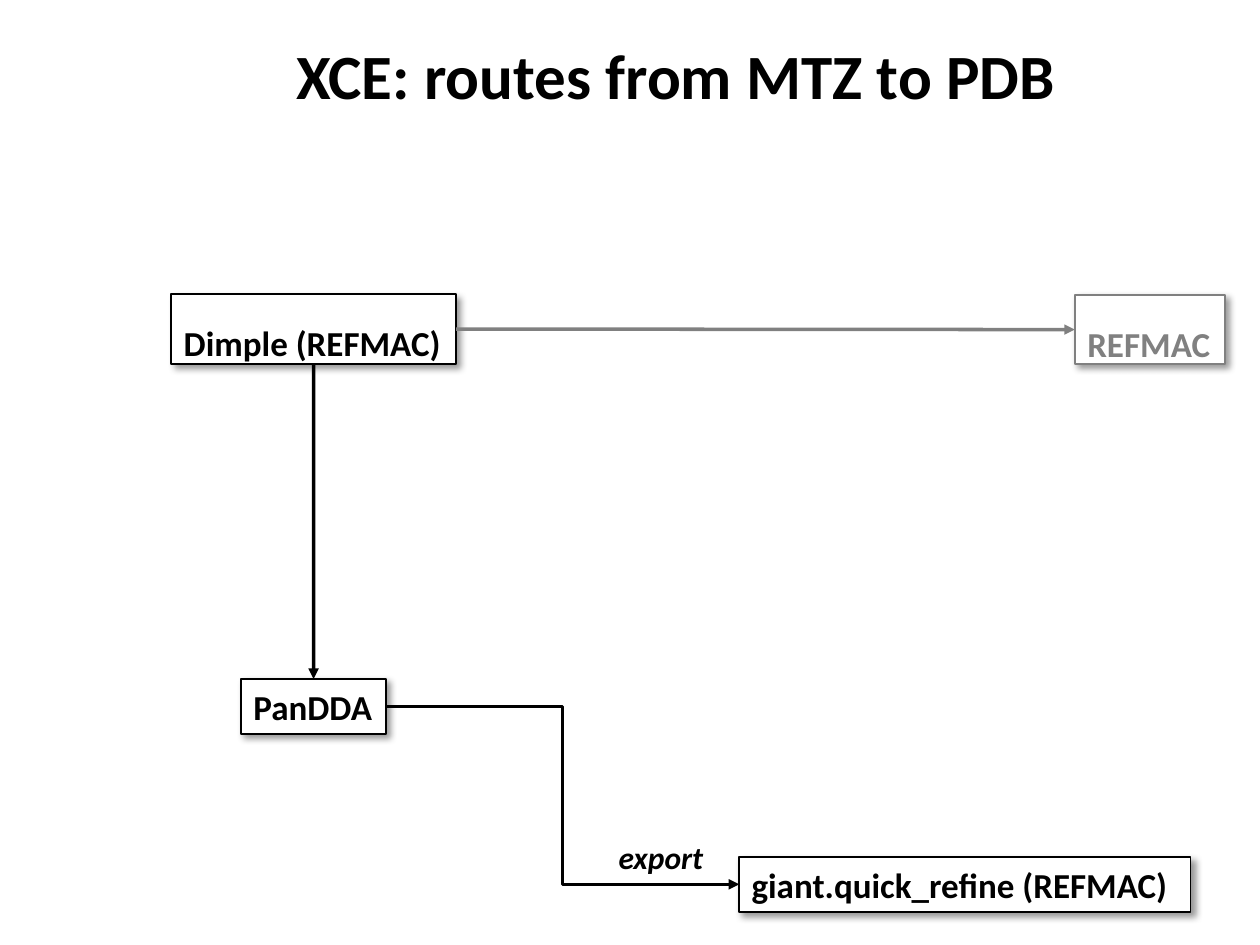
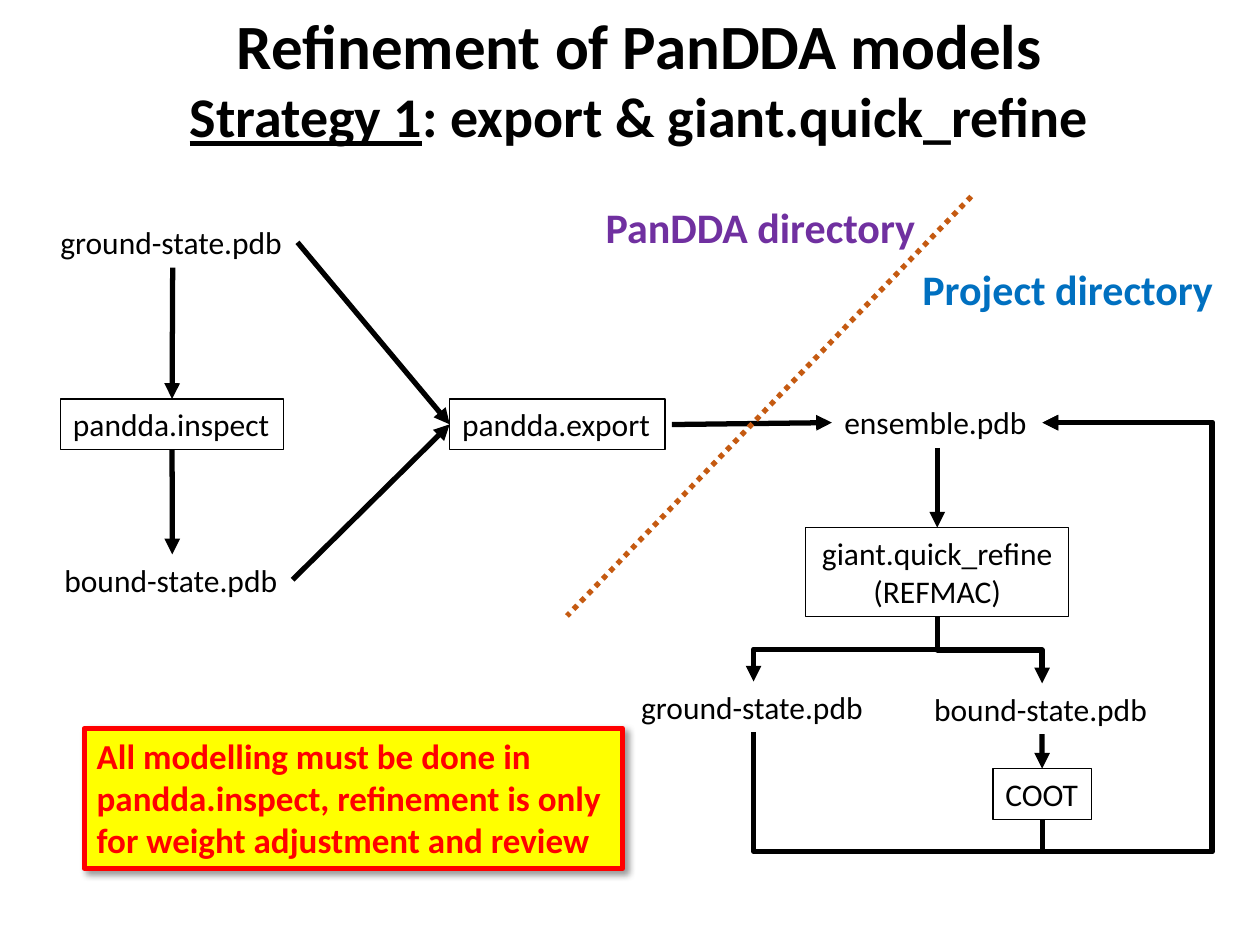
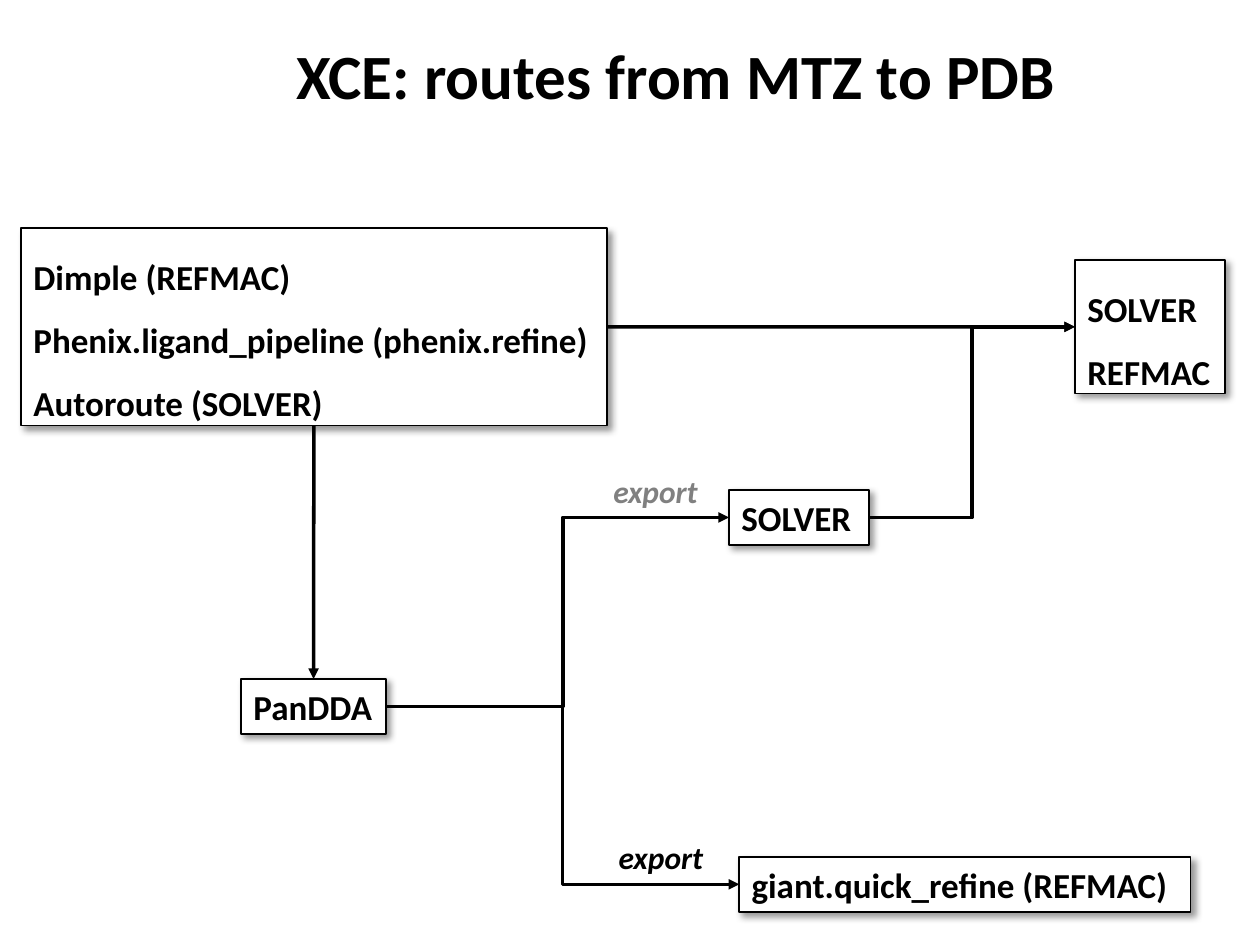
"""Build three slides on the routes from MTZ to PDB and on model refinement."""
from lxml.etree import SubElement
from pptx import Presentation
from pptx.dml.color import RGBColor
from pptx.enum.dml import MSO_LINE
from pptx.enum.shapes import MSO_CONNECTOR, MSO_SHAPE
from pptx.enum.text import MSO_ANCHOR, MSO_AUTO_SIZE, PP_ALIGN
from pptx.oxml.ns import qn
from pptx.util import Pt

FONT = "Calibri"
BLACK, WHITE, GREY = "000000", "FFFFFF", "808080"
RED, YELLOW, ORANGE = "FF0000", "FFFF00", "C55A11"
PURPLE, BLUE = "7030A0", "0070C0"
TOP, LEFT, BOTTOM, RIGHT = range(4)


def paint(hue):
    """Turn a hex string into a colour."""
    return RGBColor.from_string(hue)


def style(para, size, hue=BLACK, bold=False, slant=False):
    """Format every run of a paragraph."""
    for run in para.runs:
        font = run.font
        font.name, font.size = FONT, Pt(size)
        font.bold, font.italic = bold, slant
        font.color.rgb = paint(hue)


def place(shape, at):
    """Move a shape to a left, top, width and height."""
    shape.left, shape.top, shape.width, shape.height = map(Pt, at)


def write(shape, text, size, hue=BLACK, bold=False, slant=False,
          align=PP_ALIGN.LEFT, space=None, wrap=False):
    """Fill a shape with text that starts at its top."""
    frame = shape.text_frame
    frame.text = text
    frame.word_wrap = wrap
    frame.auto_size = MSO_AUTO_SIZE.SHAPE_TO_FIT_TEXT
    frame.vertical_anchor = MSO_ANCHOR.TOP
    for para in frame.paragraphs:
        para.alignment = align
        if space:
            para.line_spacing = space
        style(para, size, hue, bold, slant)


def head(page, text, at, align):
    """Set the slide title and return its text frame."""
    title = page.shapes.title
    place(title, at)
    write(title, text, 36, bold=True, align=align)
    title.text_frame.auto_size = MSO_AUTO_SIZE.NONE
    return title.text_frame


def label(page, text, at, size=18, **look):
    """Add plain text without a frame."""
    shape = page.shapes.add_textbox(*map(Pt, at))
    write(shape, text, size, **look)
    return shape


def box(page, text, at, size=18, edge=BLACK, width=0.75, fill=None, **look):
    """Add a framed rectangle with text."""
    shape = page.shapes.add_shape(MSO_SHAPE.RECTANGLE, *map(Pt, at))
    shape.shadow.inherit = False
    if fill:
        shape.fill.solid()
        shape.fill.fore_color.rgb = paint(fill)
    else:
        shape.fill.background()
    shape.line.color.rgb = paint(edge)
    shape.line.width = Pt(width)
    write(shape, text, size, **look)
    return shape


def card(page, text, at, width=1, fill=WHITE, **look):
    """Add a bold filled box with a soft shadow."""
    shape = box(page, text, at, 20, width=width, fill=fill, bold=True, **look)
    effect = shape.element.spPr.find(qn("a:effectLst"))
    shade = SubElement(effect, qn("a:outerShdw"), blurRad=str(Pt(4)),
                       dist=str(Pt(3)), dir="2700000", rotWithShape="0")
    tone = SubElement(shade, qn("a:srgbClr"), val=BLACK)
    SubElement(tone, qn("a:alpha"), val="40000")
    return shape


def trace(page, ends, hue=BLACK, width=3, kind=MSO_CONNECTOR.STRAIGHT,
          tip=True, dash=None):
    """Draw a connector between two points."""
    line = page.shapes.add_connector(kind, *map(Pt, ends))
    line.line.color.rgb = paint(hue)
    line.line.width = Pt(width)
    if dash:
        line.line.dash_style = dash
    props = line.element.spPr
    if tip:
        SubElement(props.find(qn("a:ln")), qn("a:tailEnd"), type="triangle")
    SubElement(props, qn("a:effectLst"))
    return line


def join(page, start, out, end, into, **look):
    """Link the sides of two shapes."""
    line = trace(page, (0, 0, 9, 9), **look)
    line.begin_connect(start, out)
    line.end_connect(end, into)
    return line


def tune(line, *parts):
    """Set where an elbow turns, as shares of its size."""
    geom = line.element.spPr.find(qn("a:prstGeom"))
    guides = geom.find(qn("a:avLst"))
    for num, part in enumerate(parts, 1):
        SubElement(guides, qn("a:gd"), name=f"adj{num}",
                   fmla=f"val {round(part * 100000)}")
    geom.set("prst", f"bentConnector{len(parts) + 2}")


def elbow(page, start, end, mid=0.5):
    """Link a right side to a left side with one step."""
    line = join(page, start, RIGHT, end, LEFT, width=2,
                kind=MSO_CONNECTOR.ELBOW)
    tune(line, mid)


def turn(line, angle, flips):
    """Rotate an elbow about its centre so that it leaves downwards."""
    wide, high = line.width, line.height
    line.left += (wide - high) // 2
    line.top += (high - wide) // 2
    line.width, line.height = high, wide
    xfrm = line.element.spPr.find(qn("a:xfrm"))
    xfrm.set("rot", str(angle * 60000))
    for axis in "HV":
        xfrm.set("flip" + axis, "1" if axis in flips else "0")


def drop(page, start, end):
    """Link a bottom side to a top side with one step."""
    line = join(page, start, BOTTOM, end, TOP, kind=MSO_CONNECTOR.ELBOW)
    if line.end_x < line.begin_x:
        turn(line, 90, "")
    else:
        turn(line, 270, "H")
    tune(line, 0.5)


def loop(page, start, end, low, far):
    """Link a bottom side back up to a right side, by way of low and far."""
    line = join(page, start, BOTTOM, end, RIGHT, kind=MSO_CONNECTOR.ELBOW)
    left, base = line.begin_x, line.begin_y
    wide, high = line.width, line.height
    turn(line, 90, "HV")
    tune(line, (base - Pt(low)) / high, (Pt(far) - left) / wide)


def route(page):
    """Add what both route slides share and return the PanDDA box."""
    head(page, "XCE: routes from MTZ to PDB", (162, 17.3, 453, 51),
         PP_ALIGN.LEFT)
    model = card(page, "PanDDA", (137.7, 388, 83, 31.5))
    quick = card(page, "giant.quick_refine (REFMAC)", (422.4, 489.6, 258, 31.5),
                 wrap=True)
    elbow(page, model, quick)
    export(page, (346.5, 475.2))
    return model


def export(page, spot, hue=BLACK):
    """Label an export step."""
    label(page, "export", (*spot, 63.5, 29), hue=hue, bold=True, slant=True)


def basic(page):
    """Show the basic route."""
    model = route(page)
    first = card(page, "Dimple (REFMAC)", (97.9, 168.2, 162.7, 39.7), space=1.5)
    last = card(page, "REFMAC", (614.2, 168.5, 85.7, 39.7), edge=GREY,
                hue=GREY, space=1.5)
    join(page, first, RIGHT, last, LEFT, hue=GREY, width=2)
    join(page, first, BOTTOM, model, TOP, width=2)


def refine(page):
    """Show the refinement of models."""
    frame = head(page, "Refinement of PanDDA models\nStrategy 1",
                 (98.6, 0, 533.5, 90), PP_ALIGN.CENTER)
    para = frame.paragraphs[1]
    para.add_run().text = ": export & giant.quick_refine"
    style(para, 32, bold=True)
    para.runs[0].font.underline = True

    ground = label(page, "ground-state.pdb", (27.4, 124, 142.6, 29))
    check = box(page, "pandda.inspect", (34.6, 228, 127.5, 29))
    bound = label(page, "bound-state.pdb", (29.7, 316.8, 137.5, 29))
    send = box(page, "pandda.export", (257, 228, 123, 29))
    whole = label(page, "ensemble.pdb", (475.4, 227, 120.3, 29))
    quick = box(page, "giant.quick_refine\n(REFMAC)", (460.3, 301.5, 150.5, 51),
                align=PP_ALIGN.CENTER)
    base = label(page, "ground-state.pdb", (359.3, 389.5, 142.6, 29))
    tied = label(page, "bound-state.pdb", (526.7, 390.5, 137.5, 29))
    coot = box(page, "COOT", (567.4, 439.2, 56.2, 29))

    for link in ((ground, BOTTOM, check, TOP), (check, BOTTOM, bound, TOP),
                 (ground, RIGHT, send, LEFT), (bound, RIGHT, send, LEFT),
                 (whole, BOTTOM, quick, TOP), (tied, BOTTOM, coot, TOP)):
        join(page, *link)
    trace(page, (384, 242.6, 475.4, 241.5)).end_connect(whole, LEFT)
    for state in (base, tied):
        drop(page, quick, state)
    for source in (coot, base):
        loop(page, source, whole, 486.5, 693)

    label(page, "PanDDA directory", (339, 111.6, 193, 36), 24,
          hue=PURPLE, bold=True)
    trace(page, (555, 112.3, 324, 352), hue=ORANGE, tip=False,
          dash=MSO_LINE.ROUND_DOT)
    label(page, "Project directory", (520, 147, 182, 36), 24,
          hue=BLUE, bold=True)
    card(page, "All modelling must be done in pandda.inspect, refinement is "
         "only for weight adjustment and review", (48.2, 416.2, 307.5, 80),
         width=3, fill=YELLOW, edge=RED, hue=RED, wrap=True)


def full(page):
    """Show all routes."""
    model = route(page)
    first = card(page, "Dimple (REFMAC)\nPhenix.ligand_pipeline (phenix.refine)"
                 "\nAutoroute (SOLVER)", (12, 130.5, 334.7, 112.7), space=1.5)
    side = card(page, "SOLVER", (416.6, 280, 80, 31.5))
    last = card(page, "SOLVER\nREFMAC", (614.2, 148.7, 85.7, 76.2), space=1.5)
    join(page, first, RIGHT, last, LEFT, width=2)
    join(page, first, BOTTOM, model, TOP, width=2)
    elbow(page, side, last)
    elbow(page, model, side, 0.515)
    export(page, (343.4, 266.4), GREY)


def main():
    """Build and save the slides."""
    deck = Presentation()
    deck.slide_width, deck.slide_height = Pt(720), Pt(540)
    for build in (basic, refine, full):
        build(deck.slides.add_slide(deck.slide_layouts[5]))
    deck.save("out.pptx")


if __name__ == "__main__":
    main()
